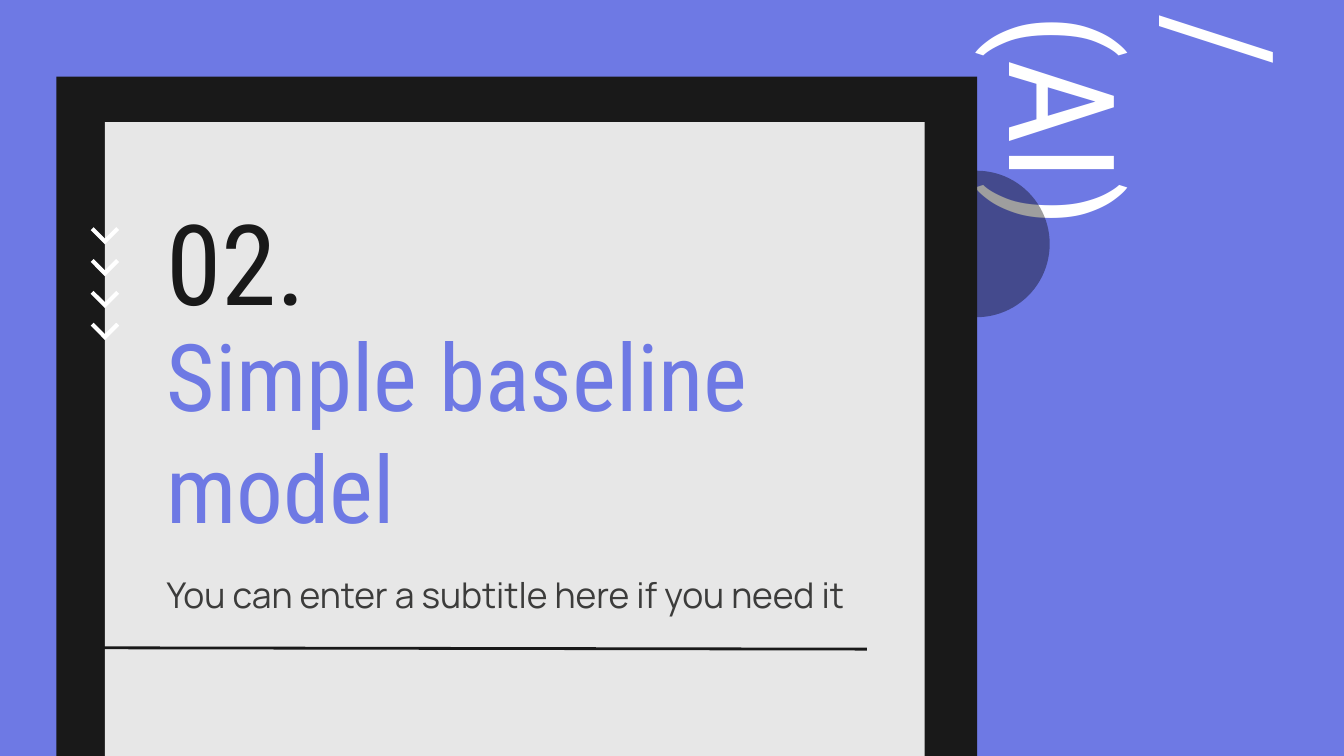
from lxml import etree
from pptx import Presentation
from pptx import util as u
from pptx.dml.color import RGBColor
from pptx.enum import shapes, text
from pptx.oxml.ns import qn

UNIT = u.Inches(0.1)
COLS, ROWS = 100, 56.25
INK = {"back": "6E79E4", "frame": "191919", "panel": "E7E7E7",
       "white": "FFFFFF", "body": "3C3C3B", "shade": "000000"}
HEAD = "Roboto Condensed"
MARK = [(6.75, 0.22), (7.81, 1.28), (8.87, 0.22),
        (8.65, 0), (7.81, 0.84), (6.97, 0)]


def grid(*cells):
    return [round(cell * UNIT) for cell in cells]


def color(name):
    return RGBColor.from_string(INK[name])


def paint(shape, name):
    shape.shadow.inherit = False
    shape.fill.solid()
    shape.fill.fore_color.rgb = color(name)
    shape.line.fill.background()
    return shape


def block(slide, kind, area, name):
    return paint(slide.shapes.add_shape(kind, *grid(*area)), name)


def write(box, words, area, size, ink, font=HEAD, lead=1.0,
          anchor=text.MSO_ANCHOR.MIDDLE, turn=0):
    box.left, box.top, box.width, box.height = grid(*area)
    box.rotation = turn
    box.element.getparent().append(box.element)
    frame = box.text_frame
    frame.word_wrap = True
    frame.auto_size = text.MSO_AUTO_SIZE.NONE
    frame.vertical_anchor = anchor
    frame.margin_left = frame.margin_right = UNIT
    frame.margin_top = frame.margin_bottom = UNIT
    para = frame.paragraphs[0]
    para.alignment = text.PP_ALIGN.LEFT
    para.line_spacing = lead
    para.space_before = u.Pt(0)
    run = para.add_run()
    run.text = words
    run.font.size = u.Pt(size)
    run.font.name = font
    run.font.bold = False
    run.font.color.rgb = color(ink)


def label(slide, words, area, **style):
    write(slide.shapes.add_textbox(0, 0, UNIT, UNIT), words, area, **style)


def fade(shape, share):
    tone = shape.element.spPr.find(qn("a:solidFill"))[0]
    etree.SubElement(tone, qn("a:alpha"), val=str(share * 1000))


def arrow(slide, top):
    points = [grid(x, top + y) for x, y in MARK]
    path = slide.shapes.build_freeform(*points[0])
    path.add_line_segments(points[1:], close=True)
    paint(path.convert_to_shape(), "white")


def rule(slide, start, end):
    line = slide.shapes.add_connector(
        shapes.MSO_CONNECTOR.STRAIGHT, *grid(*start, *end))
    line.line.color.rgb = color("frame")
    line.line.width = u.Pt(1.5)
    etree.SubElement(line.element.spPr, qn("a:effectLst"))


def main():
    deck = Presentation()
    deck.slide_width, deck.slide_height = grid(COLS, ROWS)
    slide = deck.slides.add_slide(deck.slide_layouts[0])
    fill = slide.background.fill
    fill.solid()
    fill.fore_color.rgb = color("back")

    kind = shapes.MSO_SHAPE
    label(slide, "/(AI)", (81.5, 3.4, 19.3, 12.5), size=79, ink="white",
          lead=0.9, anchor=text.MSO_ANCHOR.TOP, turn=90)
    fade(block(slide, kind.OVAL, (67.2, 12.7, 10.9, 10.9), "shade"), 38)
    for left, top, width, name in ((4.2, 5.7, 68.5, "frame"),
                                   (7.8, 9.1, 61, "panel")):
        block(slide, kind.RECTANGLE, (left, top, width, ROWS - top), name)

    title, lead = slide.placeholders
    write(title, "Simple baseline model", (11.4, 24, 55.8, 16),
          size=50, ink="back")
    label(slide, "02.", (11.4, 14.8, 20.6, 9.2), size=60, ink="frame")
    write(lead, "You can enter a subtitle here if you need it",
          (11.4, 40.3, 55.8, 7.8), size=19, ink="body", font="Manrope")

    for step in range(4):
        arrow(slide, 16.9 + 2.37 * step)
    rule(slide, (5, 48.2), (64.5, 48.3))
    deck.save("out.pptx")


if __name__ == "__main__":
    main()
